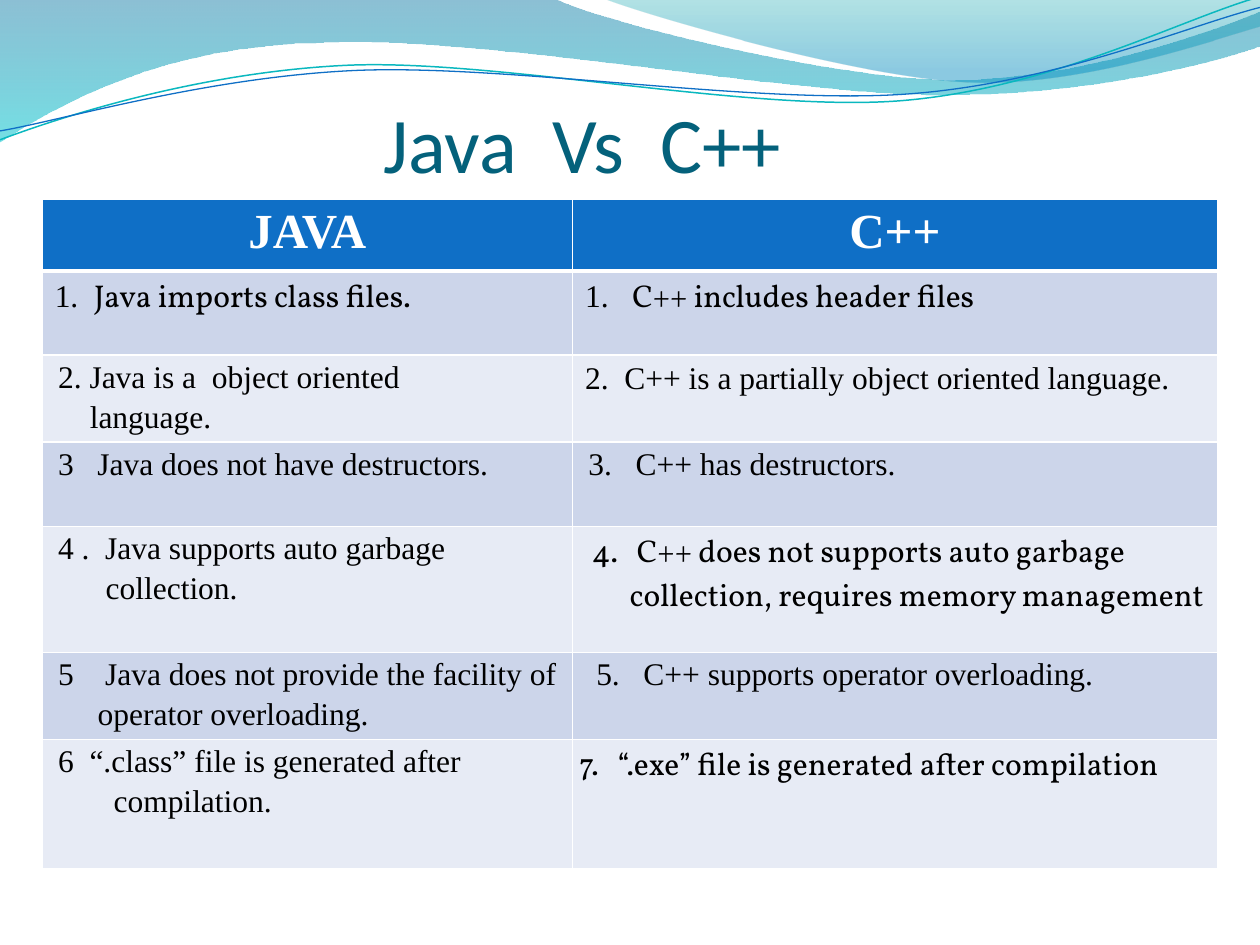
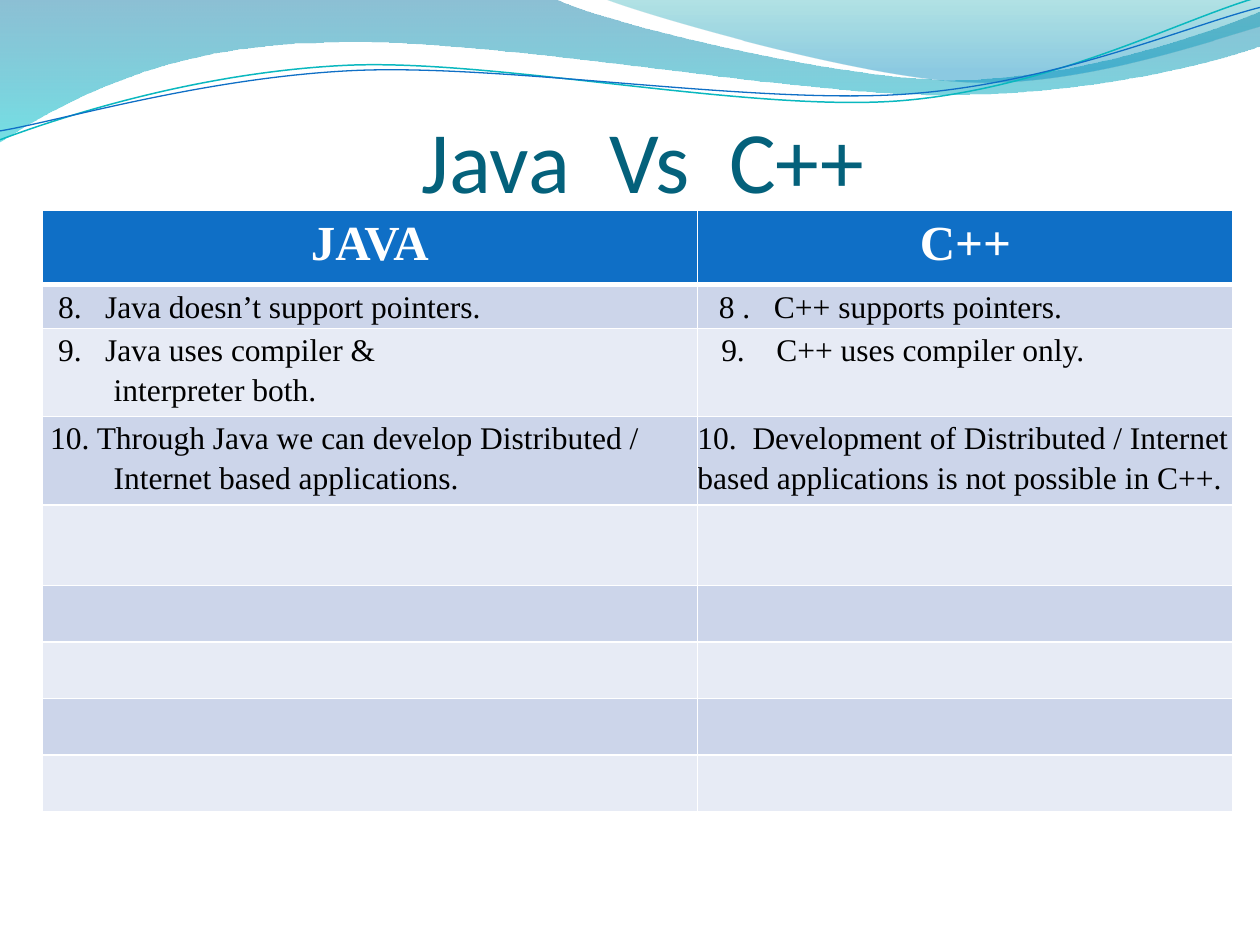
"""Builds two slides that compare Java and C++ in tables under a wave banner."""
from dataclasses import dataclass

from lxml.etree import SubElement
from pptx import Presentation
from pptx.dml.color import RGBColor
from pptx.enum.text import MSO_ANCHOR, PP_ALIGN
from pptx.oxml.ns import qn
from pptx.util import Cm, Pt

TITLE_FONT, BODY_FONT, ACCENT_FONT = "Calibri", "Times New Roman", "Vollkorn"
TITLE_COLOR, HEADER_COLOR, TEXT_COLOR, WHITE = "04617B", "0F6FC6", "000000", "FFFFFF"
BANDS = ("CCD5EA", "E7EBF5")
HEADINGS = ("JAVA", "C++")
TITLE = "Java  Vs  C++"
TABLE_LEFT = 0.85
INDENT_STEP = 0.16
THREAD_ROTATION = 357.3
FONT_SWITCH = "|"


@dataclass
class Entry:
    """Holds the (indent, text) lines of one table cell."""
    lines: tuple = ()
    padded: bool = False


SLIDES = [
    {
        "title_box": (1.27, 1.96, 22.86, 1.85), "title_size": 45, "title_indent": 6.46,
        "top": 4.01, "columns": (10.69, 13.0),
        "heights": (1.45, 1.7, 1.74, 1.7, 2.54, 1.75, 2.61),
        "rows": [
            (Entry(((0, "1.  |Java imports class files."),), True),
             Entry(((0, "1.   |C++ includes header files"),), True)),
            (Entry(((2, "2. Java is a  object oriented"), (6, "language."))),
             Entry(((0, "2.  C++ is a partially object oriented language."),), True)),
            (Entry(((2, "3   Java does not have destructors."),)),
             Entry(((2, "3.   C++ has destructors."),))),
            (Entry(((2, "4 .  Java supports auto garbage"), (8, "collection."))),
             Entry(((0.85, "|4.   C++ does not supports auto garbage"),
                    (5.6, "|collection, requires memory management")), True)),
            (Entry(((2, "5    Java does not provide the facility of"),
                    (7, "operator overloading."))),
             Entry(((3, "5.   C++ supports operator overloading."),))),
            (Entry(((2, "6  “.class” file is generated after"), (9, "compilation."))),
             Entry(((0.85, "|7.   “.exe” file is generated after compilation"),))),
        ],
    },
    {
        "title_box": (2.11, 1.96, 22.02, 2.29), "title_size": 50, "title_indent": 6.39,
        "top": 4.24, "columns": (13.21, 10.8),
        "heights": (1.5, 0.87, 1.78, 1.78, 1.63, 1.14, 1.14, 1.14, 1.14),
        "rows": [
            (Entry(((2, "8.   Java doesn’t support pointers."),)),
             Entry(((2.7, "8 .   C++ supports pointers."),))),
            (Entry(((2, "9.   Java uses compiler &"), (9, "interpreter both."))),
             Entry(((3, "9.    C++ uses compiler only."),))),
            (Entry(((1, "10. Through Java we can develop Distributed /"),
                    (9, "Internet based applications."))),
             Entry(((0, "10.  Development of Distributed / Internet based "
                        "applications is not possible in C++."),))),
        ] + [(Entry(), Entry())] * 5,
    },
]

RIBBONS = [
    {
        "outline": [[(0, -0.03)], [(11.18, -0.03)],
                    [(12.09, 0.43), (16.87, 1.6), (19.25, 1.6)],
                    [(21.67, 1.6), (24.33, 0.66), (25.4, 0.23)], [(25.43, 0.91)],
                    [(24.97, 1.12), (22.1, 1.93), (18.95, 1.91)],
                    [(15.8, 1.91), (9.7, 0.71), (6.53, 0.86)],
                    [(3.28, 0.89), (1.17, 2.11), (-0.03, 2.87)], [(0, -0.03)]],
        "stops": [(0, "0074A1", 45), (1, "00C6CF", 55)],
    },
    {
        "outline": [[(12.17, -0.03)],
                    [(12.93, 0.28), (17.32, 1.57), (19.53, 1.65)],
                    [(21.74, 1.75), (24.41, 0.81), (25.4, 0.53)],
                    [(25.4, 0)], [(12.17, -0.03)]],
        "stops": [(0, "00A1A9", 30), (0.8, "008BBF", 45)],
    },
]

THREADS = [
    ([[(-0.05, 2.22)],
      [(1.19, 1.82), (4.02, 1.04), (7.05, 1.05)],
      [(10.05, 1.07), (15.02, 2.37), (18.08, 2.29)],
      [(21.13, 2.2), (23.86, 0.91), (25.4, 0.55)]], "0AB8BF", 0.85),
    ([[(-0.04, 2.04)],
      [(1.16, 1.9), (4.17, 1.15), (7.2, 1.16)],
      [(10.25, 1.18), (15.13, 2.22), (18.19, 2.16)],
      [(21.22, 2.1), (23.93, 1.06), (25.45, 0.75)]], "0F6FC6", 0.75),
]


def color(value):
    return RGBColor.from_string(value)


def add_wave(page, outline, close):
    start, *others = [(Cm(x), Cm(y)) for segment in outline for x, y in segment]
    builder = page.shapes.build_freeform(*start)
    builder.add_line_segments(others, close=close)
    wave = builder.convert_to_shape()
    wave.shadow.inherit = False
    lines = iter(list(wave._element.iter(qn("a:lnTo"))))
    for segment in outline[1:]:
        first, *rest = [next(lines) for _ in segment]
        if rest:
            first.tag = qn("a:cubicBezTo")
            for line in rest:
                first.append(line[0])
                line.getparent().remove(line)
    return wave


def add_banner(page):
    for ribbon in RIBBONS:
        wave = add_wave(page, ribbon["outline"], True)
        wave.line.fill.background()
        wave.fill.gradient()
        wave.fill.gradient_angle = 270
        for stop, (position, shade, _) in zip(wave.fill.gradient_stops, ribbon["stops"]):
            stop.position = position
            stop.color.rgb = color(shade)
        for tint, (_, _, opacity) in zip(wave._element.spPr.iter(qn("a:srgbClr")),
                                         ribbon["stops"]):
            SubElement(tint, qn("a:alpha"), val=str(opacity * 1000))
    for outline, shade, width in THREADS:
        thread = add_wave(page, outline, False)
        thread.rotation = THREAD_ROTATION
        thread.fill.background()
        thread.line.color.rgb = color(shade)
        thread.line.width = Pt(width)


def style(span, font, size, shade, bold=False):
    span.font.name = font
    span.font.size = Pt(size)
    span.font.bold = bold
    span.font.color.rgb = color(shade)


def indent(para, distance):
    para._p.get_or_add_pPr().set("marL", str(Cm(distance)))


def add_title(page, layout):
    box = page.shapes.add_textbox(*map(Cm, layout["title_box"]))
    frame = box.text_frame
    frame.word_wrap = True
    frame.vertical_anchor = MSO_ANCHOR.BOTTOM
    frame.margin_left = frame.margin_right = frame.margin_bottom = 0
    frame.text = TITLE
    para = frame.paragraphs[0]
    indent(para, layout["title_indent"])
    style(para.runs[0], TITLE_FONT, layout["title_size"], TITLE_COLOR)


def paint_cell(cell, fill, top=1, bottom=1):
    properties = cell._tc.get_or_add_tcPr()
    for side, width in (("L", 1), ("R", 1), ("T", top), ("B", bottom)):
        edge = SubElement(properties, qn(f"a:ln{side}"), w=str(Pt(width)))
        SubElement(SubElement(edge, qn("a:solidFill")), qn("a:srgbClr"), val=WHITE)
    cell.fill.solid()
    cell.fill.fore_color.rgb = color(fill)


def write_entry(cell, entry):
    cell.margin_right = 0
    if entry.lines and not entry.padded:
        cell.margin_left = cell.margin_top = cell.margin_bottom = 0
    frame = cell.text_frame
    for number, (steps, text) in enumerate(entry.lines):
        para = frame.add_paragraph() if number else frame.paragraphs[0]
        indent(para, steps * INDENT_STEP)
        if not entry.padded:
            para.line_spacing = 1.15
        for part, font in zip(text.split(FONT_SWITCH), (BODY_FONT, ACCENT_FONT)):
            if part:
                span = para.add_run()
                span.text = part
                style(span, font, 18, TEXT_COLOR)


def add_comparison(page, layout):
    columns, heights = layout["columns"], layout["heights"]
    table = page.shapes.add_table(len(heights), len(columns), Cm(TABLE_LEFT), Cm(layout["top"]),
                                  Cm(sum(columns)), Cm(sum(heights))).table
    for column, width in zip(table.columns, columns):
        column.width = Cm(width)
    for row, height in zip(table.rows, heights):
        row.height = Cm(height)
    for cell, heading in zip(table.rows[0].cells, HEADINGS):
        paint_cell(cell, HEADER_COLOR, bottom=3)
        cell.text_frame.text = heading
        para = cell.text_frame.paragraphs[0]
        para.alignment = PP_ALIGN.CENTER
        style(para.runs[0], BODY_FONT, 28, WHITE, True)
    for number, entries in enumerate(layout["rows"]):
        for cell, entry in zip(table.rows[number + 1].cells, entries):
            paint_cell(cell, BANDS[number % 2], top=1 if number else 3)
            write_entry(cell, entry)


def main():
    deck = Presentation()
    deck.slide_width, deck.slide_height = Cm(25.4), Cm(19.05)
    for layout in SLIDES:
        page = deck.slides.add_slide(deck.slide_layouts[6])
        add_banner(page)
        add_title(page, layout)
        add_comparison(page, layout)
    deck.save("out.pptx")


if __name__ == "__main__":
    main()
